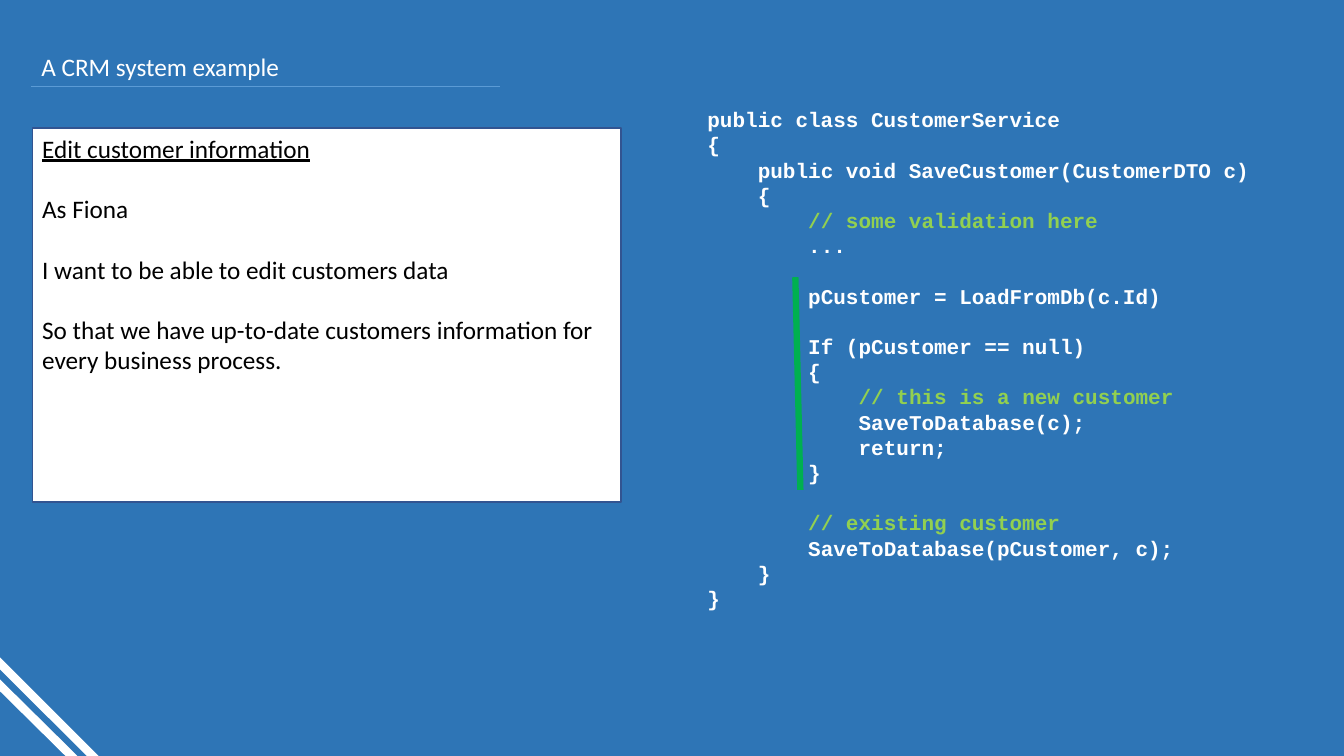
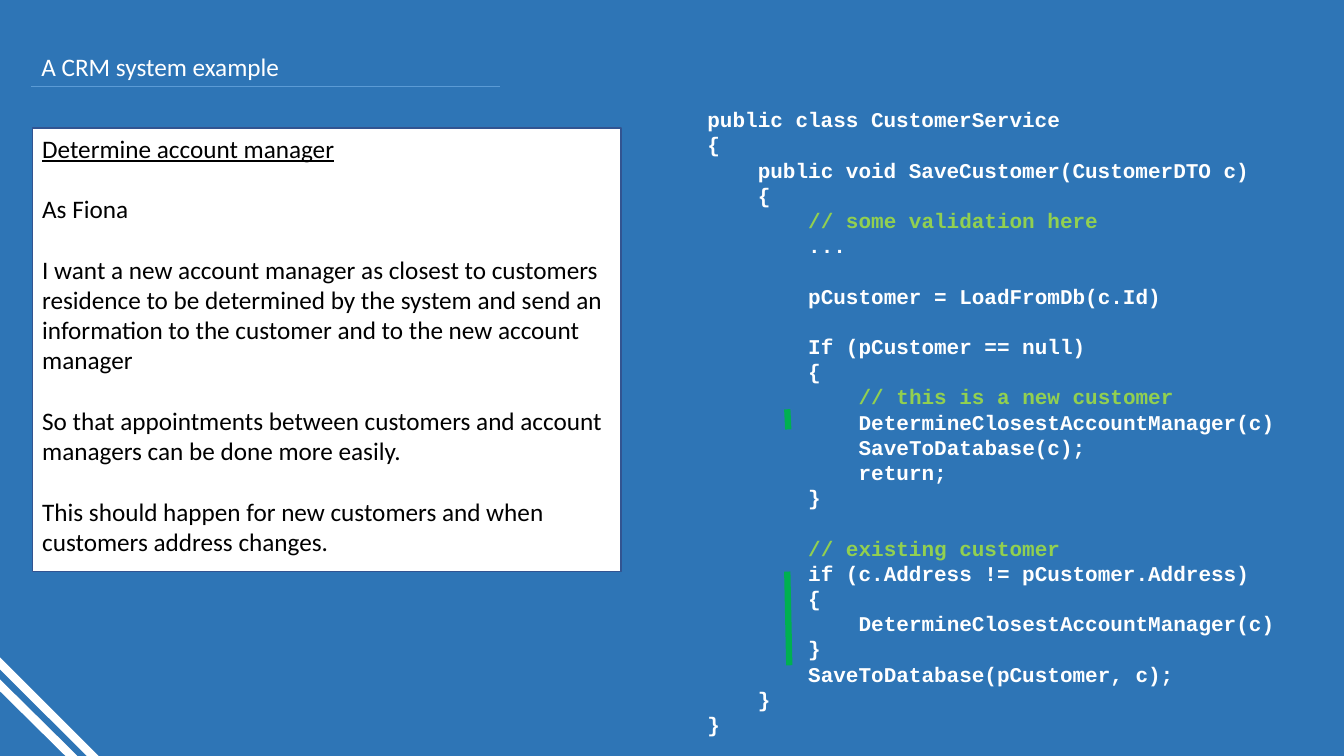
from lxml import etree
from pptx import Presentation
from pptx.dml.color import RGBColor
from pptx.enum.shapes import MSO_CONNECTOR, MSO_SHAPE
from pptx.enum.text import MSO_ANCHOR, PP_ALIGN
from pptx.oxml.ns import qn
from pptx.util import Inches, Pt

LINE = MSO_CONNECTOR.STRAIGHT
RECT = MSO_SHAPE.RECTANGLE
TOP, MID = MSO_ANCHOR.TOP, MSO_ANCHOR.MIDDLE
LEFT = PP_ALIGN.LEFT

HEX = {
    "back": "2E75B6",
    "rule": "5B9BD5",
    "edge": "325491",
    "white": "FFFFFF",
    "black": "000000",
    "note": "92D050",
    "mark": "00B050",
}
WIDE, HIGH = Inches(13.33), Inches(7.5)
COL, ROW = Inches(0.125), Inches(0.25)
PADX, PADY = Inches(0.1), Inches(0.05)
LEAD = 1.2

TITLE = "A CRM system example"
STRIPES = [((-0.83, 89.2), (6.23, 101.6)), ((-0.83, 86.27), (7.8, 101.6))]

START = """\
public class CustomerService
{
    public void SaveCustomer(CustomerDTO c)
    {
        // some validation here
        ...

        pCustomer = LoadFromDb(c.Id)

        If (pCustomer == null)
        {
            // this is a new customer
"""
MIDDLE = """\
            SaveToDatabase(c);
            return;
        }

        // existing customer
"""
FINISH = """\
        SaveToDatabase(pCustomer, c);
    }
}
"""
CALL = "            DetermineClosestAccountManager(c)\n"
TEST = "        if (c.Address != pCustomer.Address)\n        {\n" + CALL + "        }\n"

PAGES = [
    {
        "story": [
            "Edit customer information",
            "As Fiona",
            "I want to be able to edit customers data",
            "So that we have up-to-date customers information for every business process.",
        ],
        "tall": 49.47,
        "code": START + MIDDLE + FINISH,
        "marks": [((6.96, 6.76), (7.36, 15.2))],
    },
    {
        "story": [
            "Determine account manager",
            "As Fiona",
            "I want a new account manager as closest to customers residence to be "
            "determined by the system and send an information to the customer "
            "and to the new account manager",
            "So that appointments between customers and account managers "
            "can be done more easily.",
            "This should happen for new customers and when customers address changes.",
        ],
        "tall": 58.67,
        "code": START + CALL + MIDDLE + TEST + FINISH,
        "marks": [((6.32, 18.44), (6.48, 22.16)), ((6.32, 12), (6.4, 12.8))],
    },
]


def hue(name):
    return RGBColor.from_string(HEX[name])


def spot(x, y):
    return int(WIDE * x / 100), int(HIGH * y / 100)


def area(x, y, w, h):
    return spot(x, y) + spot(w, h)


def stroke(slide, start, end, tint, width):
    line = slide.shapes.add_connector(LINE, *start, *end)
    line.line.color.rgb = hue(tint)
    line.line.width = Pt(width)
    etree.SubElement(line._element.spPr, qn("a:effectLst"))


def frame(shape, anchor=TOP):
    text = shape.text_frame
    text.word_wrap = True
    text.vertical_anchor = anchor
    text.margin_left = text.margin_right = PADX
    text.margin_top = text.margin_bottom = PADY
    return text


def style(para, face, size, tint, bold=False):
    para.alignment = LEFT
    para.line_spacing = Pt(size * LEAD)
    font = para.font
    font.name, font.size, font.bold = face, Pt(size), bold
    font.color.rgb = hue(tint)


def header(slide, box):
    x, y, w, h = box
    title = slide.shapes.title
    title.left, title.top, title.width, title.height = box
    text = frame(title, MID)
    text.text = TITLE
    style(text.paragraphs[0], "Calibri", 18, "white")
    stroke(slide, (x, y + h), (x + w, y + h), "rule", 0.5)


def card(slide, box, story):
    shape = slide.shapes.add_shape(RECT, *box)
    shape.shadow.inherit = False
    shape.fill.solid()
    shape.fill.fore_color.rgb = hue("white")
    shape.line.color.rgb = hue("edge")
    shape.line.width = Pt(1)
    text = frame(shape)
    text.text = "\n".join(story)
    for para in text.paragraphs:
        style(para, "Calibri", 18, "black")
        para.space_after = Pt(18 * LEAD)
    text.paragraphs[0].font.underline = True


def listing(slide, box, code, marks):
    text = frame(slide.shapes.add_textbox(*box))
    rows = code.splitlines()
    text.text = "\n".join(row.strip() for row in rows if row)
    prior = [None] + rows
    pairs = [(row, last) for row, last in zip(rows, prior) if row]
    for para, (row, last) in zip(text.paragraphs, pairs):
        body = row.lstrip()
        tint = "note" if body.startswith("//") else "white"
        style(para, "Courier New", 15, tint, True)
        if last == "":
            para.space_before = Pt(15 * LEAD)
        indent = (len(row) - len(body)) * COL
        para._p.get_or_add_pPr().set("marL", str(indent))
    left, top = box[0] + PADX, box[1] + PADY
    for mark in marks:
        ends = [(int(left + x * COL), int(top + y * ROW)) for x, y in mark]
        stroke(slide, *ends, "mark", 4.5)


def corner(slide):
    for start, end in STRIPES:
        stroke(slide, spot(*start), spot(*end), "white", 6)


def page(deck, data):
    slide = deck.slides.add_slide(deck.slide_layouts[5])
    header(slide, area(2.33, 6.13, 34.87, 5.33))
    rows = len(data["code"].splitlines())
    x, y, w, _ = area(51.9, 13.47, 48.1, 0)
    listing(slide, (x, y, w, rows * ROW + 2 * PADY), data["code"], data["marks"])
    card(slide, area(2.4, 16.93, 43.8, data["tall"]), data["story"])
    corner(slide)


def main():
    deck = Presentation()
    deck.slide_width, deck.slide_height = WIDE, HIGH
    fill = deck.slide_master.background.fill
    fill.solid()
    fill.fore_color.rgb = hue("back")
    for data in PAGES:
        page(deck, data)
    deck.save("out.pptx")


if __name__ == "__main__":
    main()
